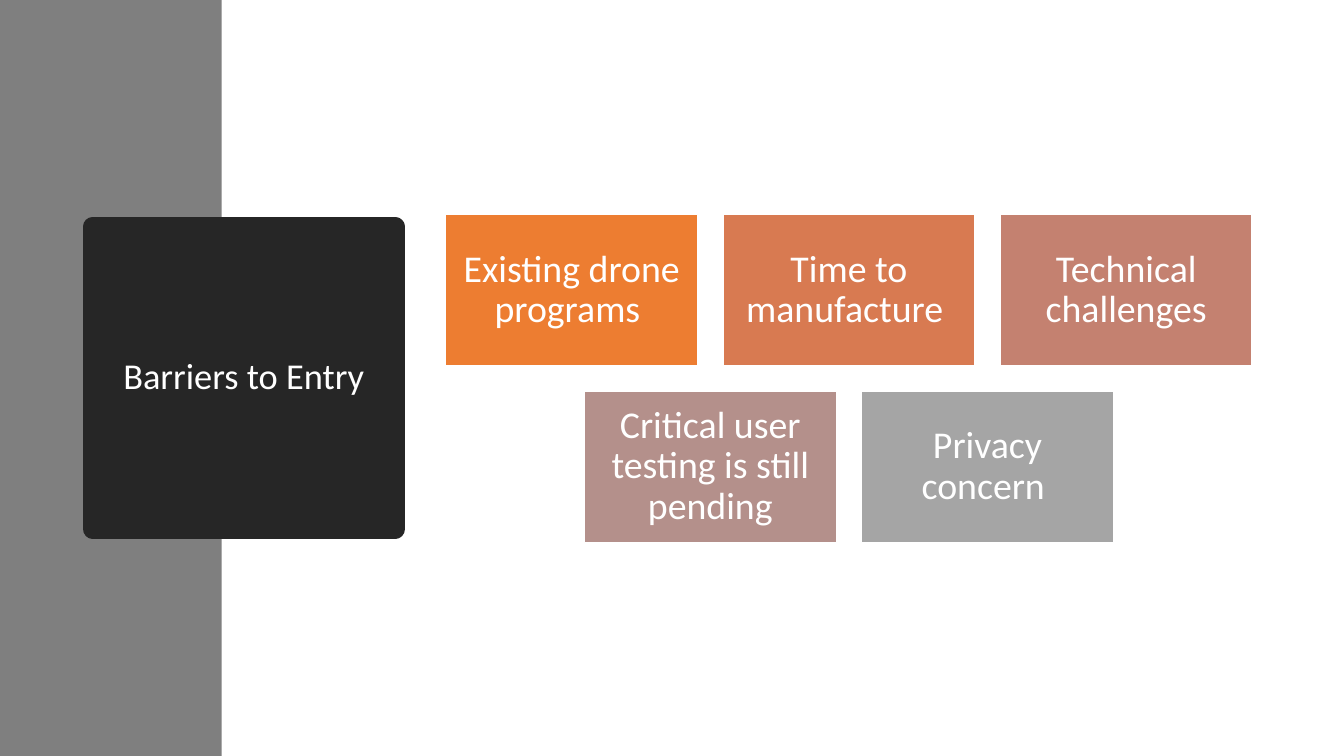
from dataclasses import dataclass

import pptx
import pptx.dml.color
import pptx.enum.shapes
import pptx.enum.text
import pptx.oxml
import pptx.oxml.ns
import pptx.util
from pptx.util import Inches

COLORS = {
    "band": "7F7F7F",
    "title": "262626",
    "white": "FFFFFF",
    "orange": "ED7D31",
    "rust": "D87A51",
    "rose": "C48170",
    "mauve": "B4908B",
    "gray": "A5A5A5",
}
TILE_W, TILE_H, GAP = 2.5, 1.5, 0.25
GRID_MID, GRID_TOP = 8.42, 2.13


@dataclass
class Tile:
    text: str
    color: str


ROWS = [
    [
        Tile("Existing drone programs ", "orange"),
        Tile("Time to manufacture ", "rust"),
        Tile("Technical challenges", "rose"),
    ],
    [
        Tile("Critical user testing is still pending", "mauve"),
        Tile("Privacy concern ", "gray"),
    ],
]


def rgb(name: str) -> pptx.dml.color.RGBColor:
    return pptx.dml.color.RGBColor.from_string(COLORS[name])


def add_box(slide, left: float, top: float, width: float, height: float,
            fill: str, line: str = "", weight: float = 1):
    box = slide.shapes.add_shape(
        pptx.enum.shapes.MSO_SHAPE.RECTANGLE,
        Inches(left), Inches(top), Inches(width), Inches(height))
    box.shadow.inherit = False
    box.fill.solid()
    box.fill.fore_color.rgb = rgb(fill)
    if line:
        box.line.color.rgb = rgb(line)
        box.line.width = pptx.util.Pt(weight)
    else:
        box.line.fill.background()
    return box


def set_text(box, text: str, *, size: float, inset: float = 0.1,
             font: str = "Calibri", color: str = "white") -> None:
    frame = box.text_frame
    frame.word_wrap = True
    frame.vertical_anchor = pptx.enum.text.MSO_ANCHOR.MIDDLE
    frame.margin_left = frame.margin_right = Inches(inset)
    frame.margin_top = frame.margin_bottom = Inches(inset)
    para = frame.paragraphs[0]
    para.alignment = pptx.enum.text.PP_ALIGN.CENTER
    para.line_spacing = 0.9
    run = para.add_run()
    run.text = text
    run.font.name = font
    run.font.size = pptx.util.Pt(size)
    run.font.color.rgb = rgb(color)


def round_join(box) -> None:
    box.get_or_add_ln().append(pptx.oxml.parse_xml(
        f'<a:round {pptx.oxml.ns.nsdecls("a")}/>'))


def main() -> None:
    deck = pptx.Presentation()
    deck.slide_width, deck.slide_height = Inches(13.33), Inches(7.5)
    slide = deck.slides.add_slide(deck.slide_layouts[6])

    # Side band and title block, its corners rounded by the thick outline
    add_box(slide, 0, 0, 2.2, 7.5, "band")
    title = add_box(slide, 0.92, 2.25, 3, 3, "title", "title", 13.75)
    round_join(title)
    set_text(title, "Barriers to Entry", size=26)

    # Tiles, each row centred on the same axis
    for row, tiles in enumerate(ROWS):
        span = len(tiles) * (TILE_W + GAP) - GAP
        top = GRID_TOP + row * (TILE_H + GAP)
        for col, tile in enumerate(tiles):
            left = GRID_MID - span / 2 + col * (TILE_W + GAP)
            box = add_box(slide, left, top, TILE_W, TILE_H,
                          tile.color, "white")
            set_text(box, tile.text, size=27, inset=0.11)

    deck.save("out.pptx")


if __name__ == "__main__":
    main()
